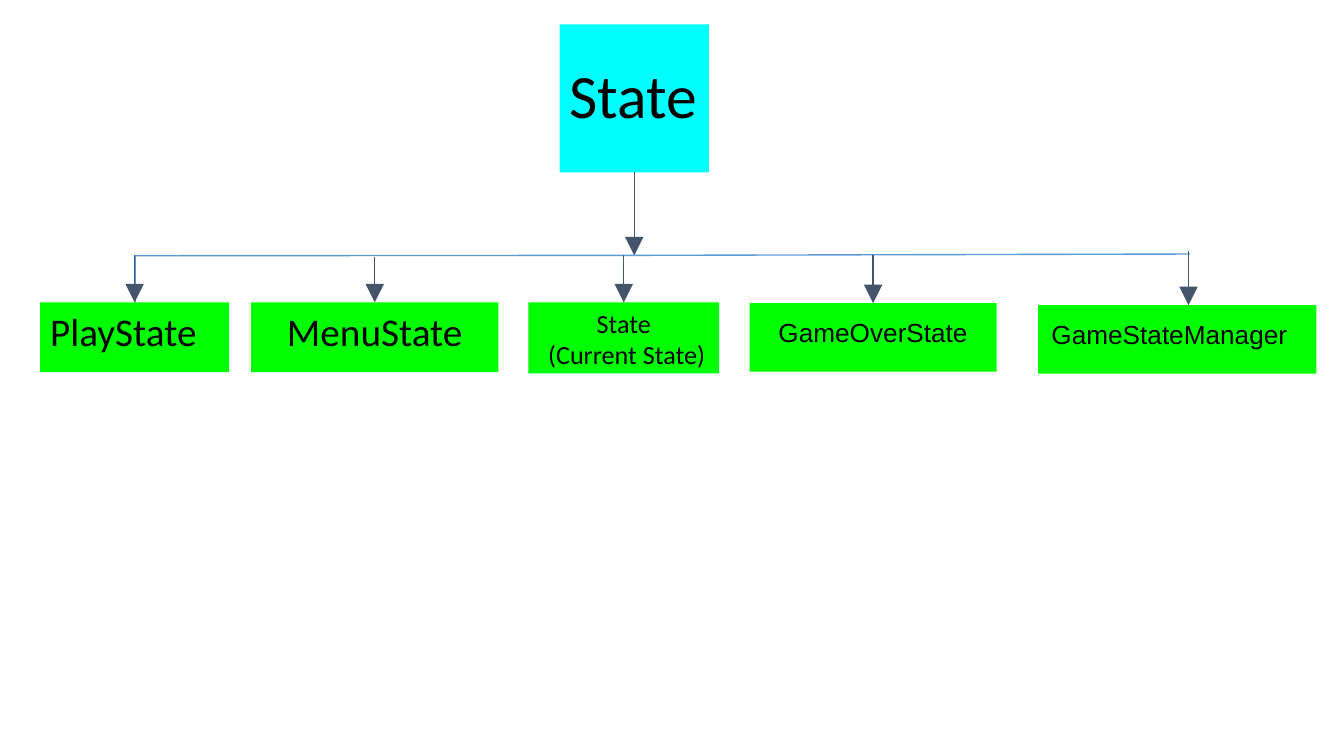
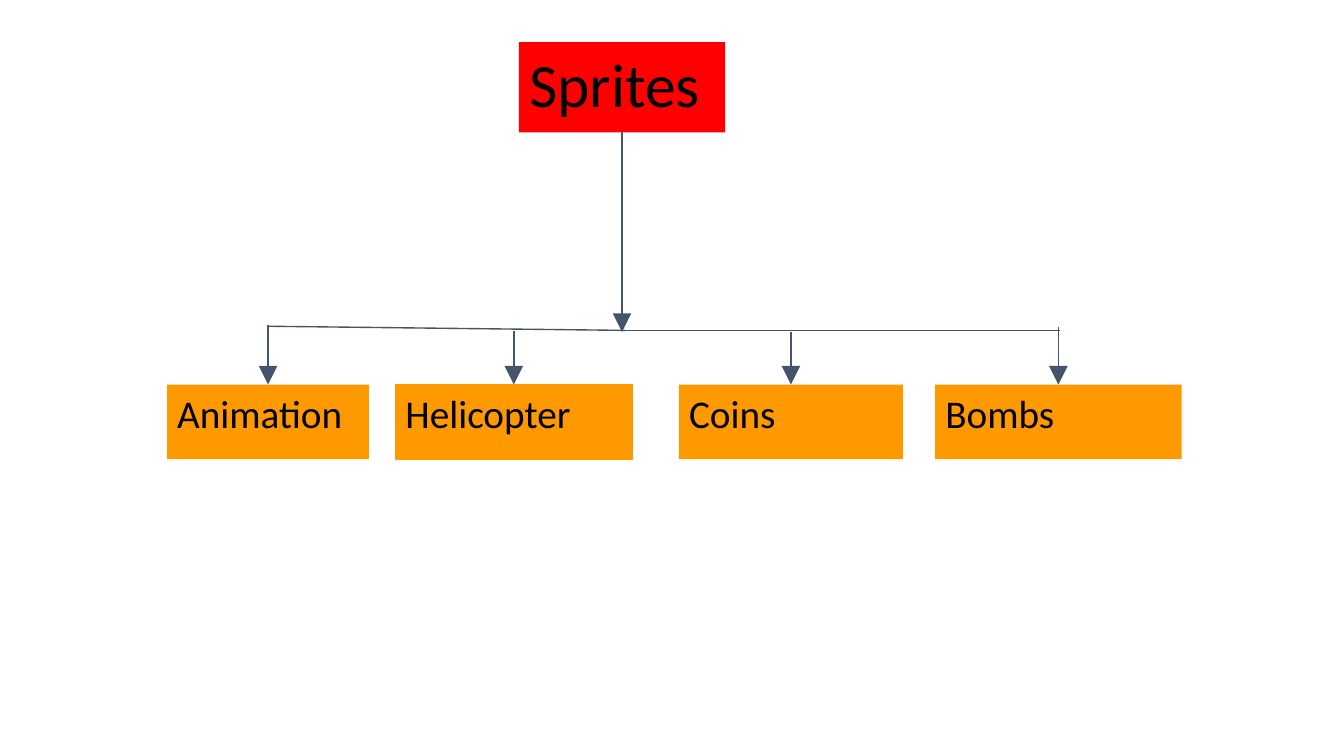
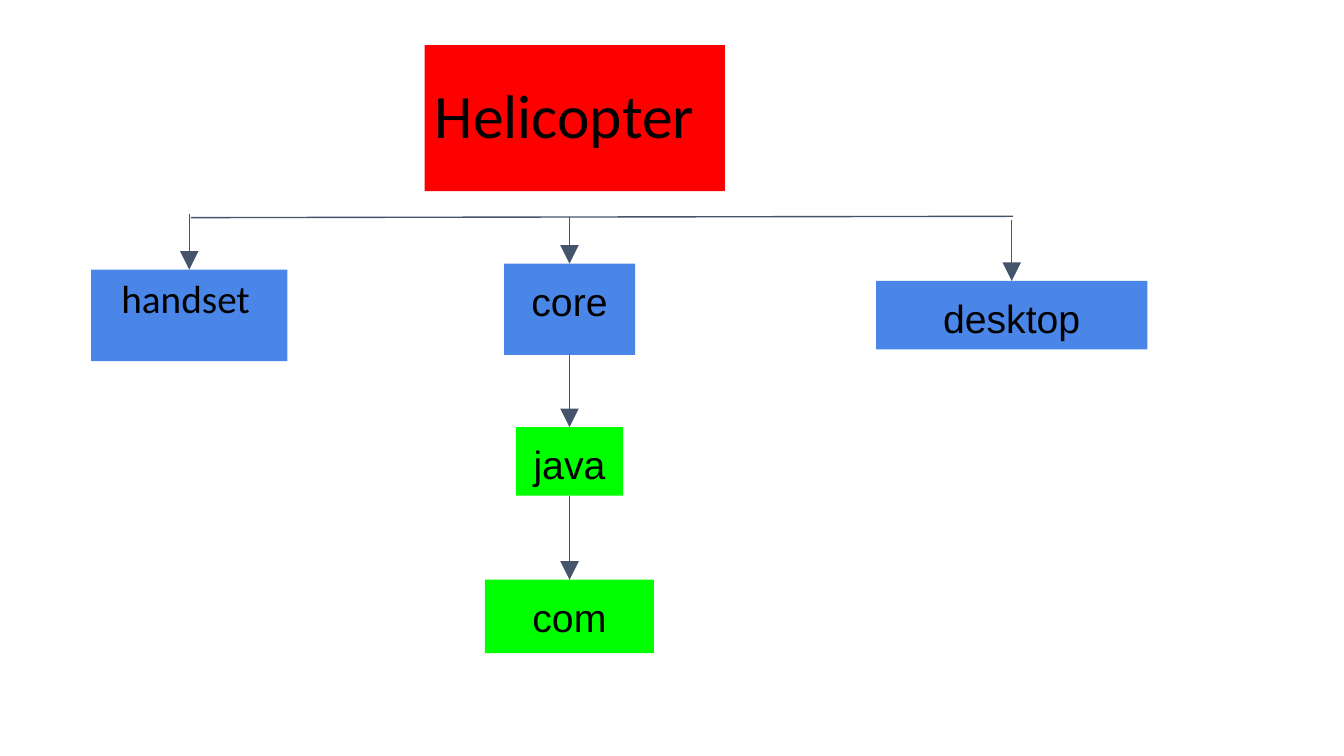
from dataclasses import dataclass

from lxml import etree
from pptx import Presentation
from pptx.dml.color import RGBColor
from pptx.enum.shapes import MSO_CONNECTOR, MSO_SHAPE
from pptx.enum.text import MSO_ANCHOR, MSO_AUTO_SIZE, PP_ALIGN
from pptx.oxml.ns import qn
from pptx.util import Pt

LEFT, CENTER = PP_ALIGN.LEFT, PP_ALIGN.CENTER
TOP, MIDDLE = MSO_ANCHOR.TOP, MSO_ANCHOR.MIDDLE
NO_AUTOFIT = MSO_AUTO_SIZE.NONE
RECTANGLE = MSO_SHAPE.RECTANGLE
STRAIGHT = MSO_CONNECTOR.STRAIGHT
TITLE_AND_CONTENT = 1

BLACK, SLATE, SKY = "000000", "44546A", "5B9BD5"
CYAN, GREEN, RED, ORANGE, BLUE = "00FFFF", "00FF00", "FF0000", "FF9900", "4A86E8"
LINE_WIDTH = 0.75

# Text styles: font, side inset, top and bottom inset
COMPACT = ("Calibri", 5.4, 2.7)
EVEN = ("Calibri", 5.4, 5.4)
ROOMY = ("Arial", 7.2, 7.2)


@dataclass
class Box:
    text: str
    place: tuple  # left, top, width, height
    fill: str
    style: tuple = COMPACT
    size: float = 21
    align: PP_ALIGN = LEFT
    anchor: MSO_ANCHOR = TOP
    spacing: float = 1.0
    indent: tuple = (0, 0)  # left margin, first line
    outlined: bool = False
    arrow_top: float = 0  # where the arrow into the box starts
    arrow_shift: float = 0  # distance of that arrow from the box's middle


def root_box(text, place, fill, style=COMPACT):
    return Box(text, place, fill, style, size=33, anchor=MIDDLE, spacing=0.9)


# The first child of each diagram fills the body placeholder.
# Bars are (colour, start x, start y, end x, end y).
DIAGRAMS = [
    {
        "root": root_box("State", (299.8, 13, 80, 79.4), CYAN),
        "root_arrow_end": 136.8,
        "children": [
            Box("PlayState", (21.5, 162, 101.3, 37.4), GREEN, arrow_top=136.8),
            Box("MenuState", (134.5, 162, 132.5, 37.4), GREEN, align=CENTER,
                arrow_top=137.5),
            Box("State\n (Current State)", (283, 162, 102.3, 38), GREEN, size=14,
                align=CENTER, arrow_top=136.8),
            Box("GameOverState", (401.6, 162.4, 132.3, 36.7), GREEN, ROOMY, 14,
                CENTER, arrow_top=136.8),
            Box("GameStateManager", (556.2, 163.5, 149, 36.7), GREEN, ROOMY, 14,
                arrow_top=134.6, arrow_shift=6),
        ],
        "bars": [
            (SKY, 340, 136.8, 72.3, 137),
            (SKY, 72.3, 162, 72.3, 136.8),
            (SKY, 340, 136.8, 637.5, 136.1),
        ],
    },
    {
        "root": root_box("Sprites", (278, 22.5, 110.5, 48.5), RED),
        "root_arrow_end": 177.8,
        "children": [
            Box("Animation", (89.5, 206, 108.2, 40), ORANGE, arrow_top=174.2),
            Box("Helicopter", (211.8, 206, 127, 40), ORANGE, outlined=True,
                arrow_top=177.4),
            Box("Coins", (363.7, 206, 120, 40), ORANGE, arrow_top=177.8),
            Box("Bombs", (501, 206, 132, 40), ORANGE, arrow_top=175),
        ],
        "bars": [
            (SLATE, 333.4, 177, 568, 177),
            (SLATE, 334.8, 177, 144, 174.8),
        ],
    },
    {
        "root": root_box("Helicopter", (227.5, 24.2, 160.8, 78.2), RED, EVEN),
        "root_arrow_end": None,
        "children": [
            Box("handset", (48.8, 144.5, 105.2, 49), BLUE, EVEN, spacing=0.9,
                indent=(13.7, -2.9), arrow_top=114.5),
            Box("core", (270, 141.2, 70.2, 49), BLUE, ROOMY, align=CENTER,
                arrow_top=116),
            Box("desktop", (469.3, 150.5, 145.4, 36.7), BLUE, ROOMY, align=CENTER,
                arrow_top=118),
            Box("java", (276.4, 228.8, 57.4, 36.7), GREEN, ROOMY, align=CENTER,
                arrow_top=190),
            Box("com", (259.8, 310.6, 90.6, 39.4), GREEN, ROOMY, align=CENTER,
                arrow_top=265.5),
        ],
        "bars": [(SLATE, 102.2, 116.6, 542.6, 115.9)],
    },
]


def rgb(color):
    return RGBColor.from_string(color)


def fill_box(shape, box):
    """Place, colour and label a placeholder or rectangle."""
    shape.left, shape.top, shape.width, shape.height = map(Pt, box.place)
    shape.fill.solid()
    shape.fill.fore_color.rgb = rgb(box.fill)
    if box.outlined:
        shape.line.color.rgb = rgb(box.fill)
        shape.line.width = Pt(LINE_WIDTH)
    else:
        shape.line.fill.background()

    font, side, vertical = box.style
    frame = shape.text_frame
    frame.text = box.text
    frame.word_wrap = True
    frame.auto_size = NO_AUTOFIT
    frame.vertical_anchor = box.anchor
    frame.margin_left = frame.margin_right = Pt(side)
    frame.margin_top = frame.margin_bottom = Pt(vertical)
    margin, first_line = box.indent
    for para in frame.paragraphs:
        para.alignment = box.align
        para.line_spacing = box.spacing
        para.space_before = Pt(0)
        para.font.name = font
        para.font.size = Pt(box.size)
        para.font.color.rgb = rgb(BLACK)
        properties = para._p.get_or_add_pPr()
        properties.set("marL", str(Pt(margin)))
        properties.set("indent", str(Pt(first_line)))
        bullet = etree.Element(qn("a:buNone"))
        properties.find(qn("a:spcBef")).addnext(bullet)


def add_line(page, color, *ends, arrow=False):
    connector = page.shapes.add_connector(STRAIGHT, *map(Pt, ends))
    connector.line.color.rgb = rgb(color)
    connector.line.width = Pt(LINE_WIDTH)
    properties = connector.element.spPr
    if arrow:
        etree.SubElement(properties.find(qn("a:ln")), qn("a:tailEnd"),
                         type="triangle", w="lg", len="lg")
    etree.SubElement(properties, qn("a:effectLst"))


def add_arrow_down(page, x, top, bottom):
    add_line(page, SLATE, x, top, x, bottom, arrow=True)


def draw_diagram(page, diagram):
    root, children = diagram["root"], diagram["children"]
    fill_box(page.shapes.title, root)
    fill_box(page.placeholders[1], children[0])
    for child in children[1:]:
        rectangle = page.shapes.add_shape(RECTANGLE, *map(Pt, child.place))
        rectangle.shadow.inherit = False
        fill_box(rectangle, child)

    for bar in diagram["bars"]:
        add_line(page, *bar)
    if diagram["root_arrow_end"]:
        left, top, width, height = root.place
        add_arrow_down(page, left + width / 2, top + height,
                       diagram["root_arrow_end"])
    for child in children:
        left, top, width, _ = child.place
        add_arrow_down(page, left + width / 2 + child.arrow_shift,
                       child.arrow_top, top)


def main():
    deck = Presentation()
    deck.slide_width, deck.slide_height = Pt(720), Pt(405)
    for diagram in DIAGRAMS:
        page = deck.slides.add_slide(deck.slide_layouts[TITLE_AND_CONTENT])
        draw_diagram(page, diagram)
    deck.save("out.pptx")


if __name__ == "__main__":
    main()
